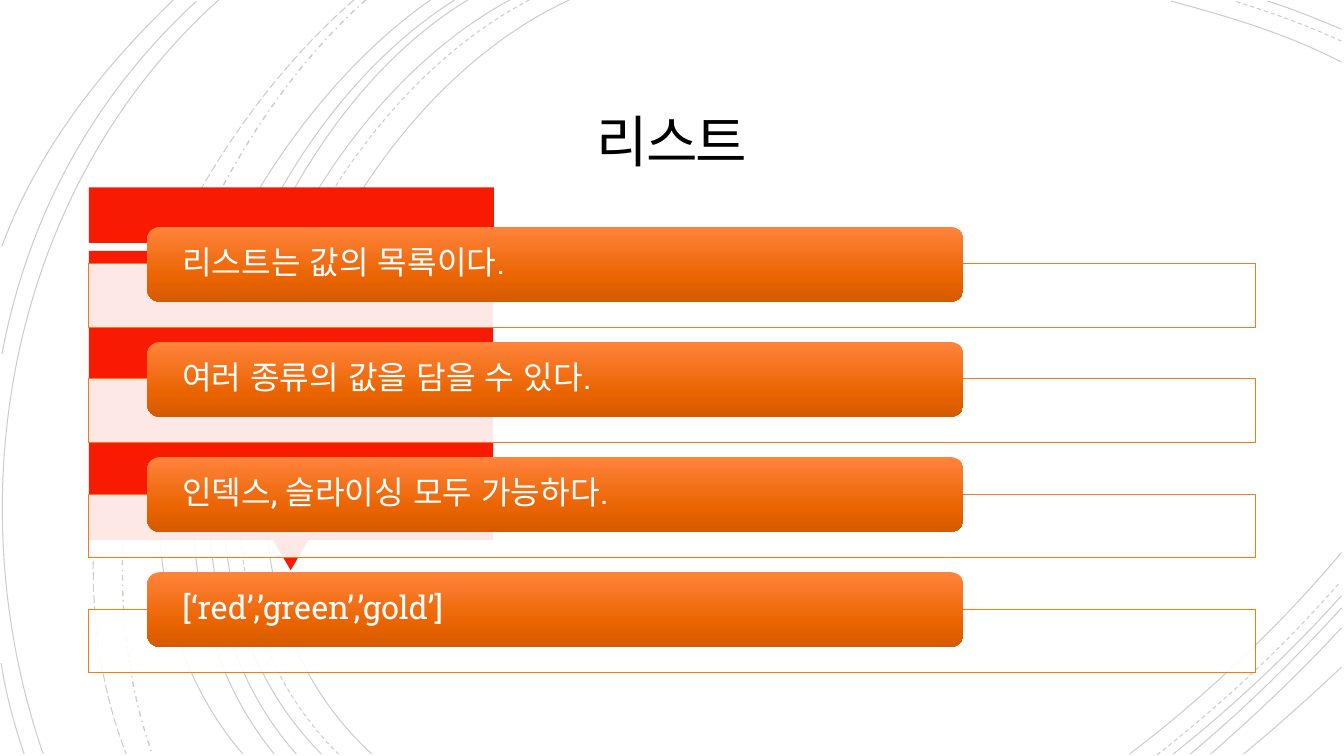
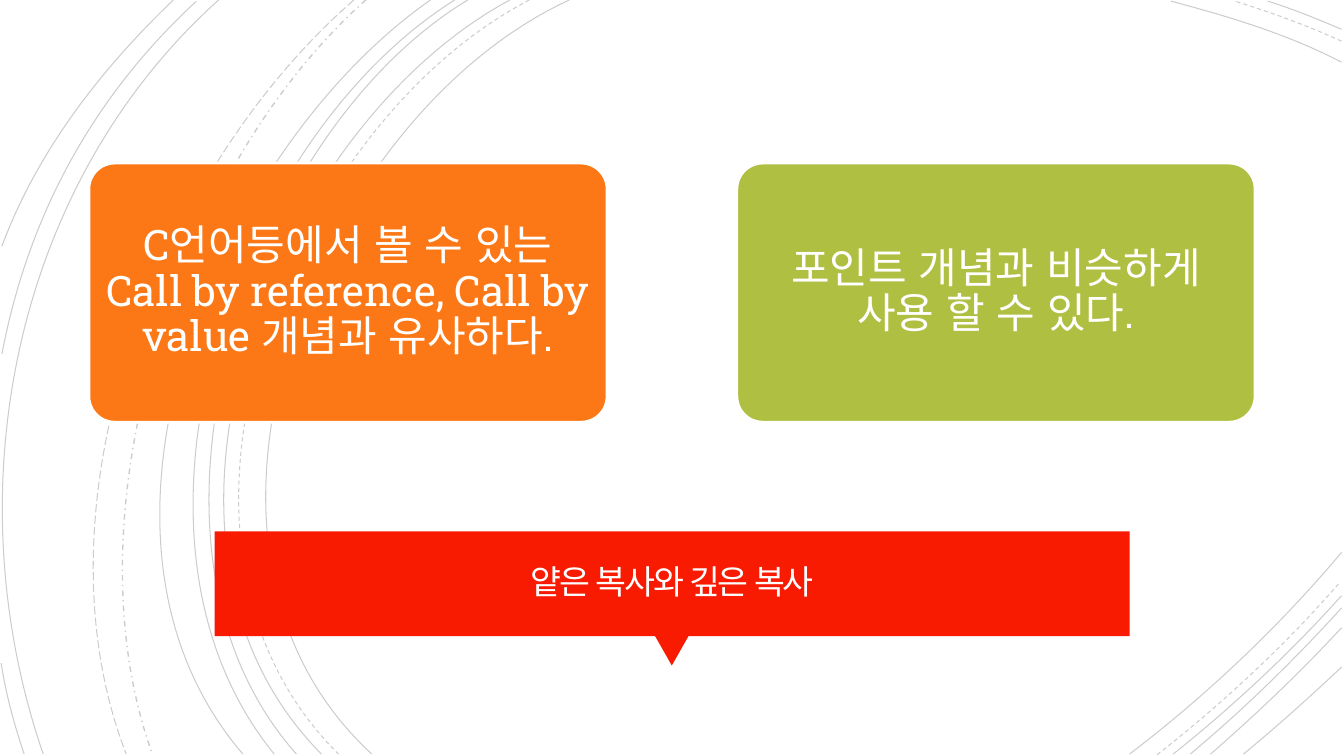
from copy import deepcopy

from lxml.etree import SubElement
from pptx import Presentation
from pptx.dml.color import RGBColor
from pptx.enum.dml import MSO_LINE_DASH_STYLE as DASH
from pptx.enum.lang import MSO_LANGUAGE_ID as LANGUAGE
from pptx.enum.shapes import MSO_AUTO_SHAPE_TYPE as SHAPE
from pptx.enum.text import MSO_ANCHOR, PP_ALIGN
from pptx.oxml.ns import qn
from pptx.util import Cm, Pt

BLACK = RGBColor(0x00, 0x00, 0x00)
WHITE = RGBColor(0xFF, 0xFF, 0xFF)
OFF_WHITE = RGBColor(0xFF, 0xFE, 0xFF)
RED = RGBColor(0xF8, 0x1B, 0x02)
ORANGE = RGBColor(0xFC, 0x77, 0x15)
GREEN = RGBColor(0xAF, 0xBF, 0x41)
BAR_STOPS = [
    (0, RGBColor(0xFF, 0x83, 0x3B)),
    (0.69, RGBColor(0xE9, 0x63, 0x00)),
    (1, RGBColor(0xD5, 0x5A, 0x00)),
]

TITLE_FONT = {"name": "Calibri", "language_id": LANGUAGE.KOREAN}
BODY_FONT = {"name": "Roboto Slab", "language_id": LANGUAGE.KOREAN}
TITLE_PARAGRAPH = {"alignment": PP_ALIGN.CENTER, "line_spacing": 0.85}
BAR_PARAGRAPH = {"alignment": PP_ALIGN.LEFT, "line_spacing": 0.9}
CARD_PARAGRAPH = {"alignment": PP_ALIGN.CENTER, "line_spacing": 0.9}

# Each arc is a cubic curve in cm: start, two control points, end.
SOLID_ARCS = [
    [(14.35, 0), (8, 2.92), (3.63, 13.72), (9.37, 19)],
    [(33.81, 1.57), (32.46, 0.86), (30.94, 0.41), (29.51, 0.03)],
    [(28.47, 19), (30.4, 17.53), (32.23, 15.8), (33.81, 13.92)],
    [(12.85, 0), (6.86, 3.23), (2.79, 13.64), (8.1, 19)],
    [(33.81, 0.74), (33.2, 0.48), (32.59, 0.23), (31.95, 0.03)],
    [(29.57, 19), (31.06, 17.81), (32.51, 16.46), (33.81, 15.01)],
    [(11.79, 0), (6.2, 3.38), (2.79, 13.74), (7.47, 19)],
    [(30, 19), (31.34, 17.88), (32.61, 16.64), (33.81, 15.32)],
    [(11.46, 0), (5.87, 3.51), (2.46, 13.54), (6.91, 19)],
    [(30.51, 19), (31.65, 18.01), (32.77, 16.94), (33.81, 15.82)],
    [(10.85, 0), (5.51, 3.73), (1.35, 13.44), (6.12, 19)],
    [(31.34, 19), (32.18, 18.31), (32.99, 17.58), (33.81, 16.81)],
    [(5.51, 0), (0.28, 4.7), (-1.17, 12.45), (1.09, 19)],
    [(4.95, 0.03), (2.34, 2.44), (0.71, 5.44), (0.05, 8.92)],
    [(0.03, 16.71), (0.15, 17.5), (0.36, 18.26), (0.61, 19)],
    [(4.37, 0), (2.54, 1.75), (0.94, 3.81), (0.05, 6.2)],
]
DASHED_ARCS = [
    [(13.34, 0), (7.24, 3.18), (3.12, 13.64), (8.53, 19)],
    [(33.81, 1.04), (32.94, 0.64), (32, 0.3), (31.12, 0.03)],
    [(29.16, 19.02), (30.81, 17.73), (32.39, 16.26), (33.78, 14.66)],
]
DASH_DOT_ARCS = [[(9.22, 0), (4.47, 4.22), (1.65, 12.93), (3.84, 19)]]
LONG_DASH_ARCS = [[(8.92, 0), (3.99, 4.29), (0.74, 12.67), (3.18, 19)]]
ARC_STYLES = [
    (SOLID_ARCS, {"width": Pt(0.75), "dash_style": DASH.SOLID}),
    (DASHED_ARCS, {"width": Pt(0.75), "dash_style": DASH.DASH}),
    (DASH_DOT_ARCS, {"width": Pt(1), "dash_style": DASH.DASH_DOT}),
    (LONG_DASH_ARCS, {"width": Pt(0.75), "dash_style": DASH.LONG_DASH}),
]

LEFT = 2.24
LIST_ITEMS = [
    "리스트는 값의 목록이다.",
    "여러 종류의 값을 담을 수 있다.",
    "인덱스, 슬라이싱 모두 가능하다.",
    "[‘red’,’green’,’gold’]",
]
ROW_PITCH = 2.9
CARDS = [
    ("C언어등에서 볼 수 있는 Call by reference, Call by value 개념과 유사하다.", ORANGE),
    ("포인트 개념과 비슷하게 사용 할 수 있다.", GREEN),
]
CARD_PITCH = 16.33


def apply(target, values):
    for name, value in values.items():
        setattr(target, name, value)


def set_opacity(shape, percent):
    """Make the first plain colour of the shape partly transparent."""
    color = shape.element.spPr.find(".//" + qn("a:srgbClr"))
    SubElement(color, qn("a:alpha")).set("val", str(percent * 1000))


def bend(freeform):
    """Turn the three straight segments of a freeform into one cubic curve."""
    outline = freeform.element.spPr.find(".//" + qn("a:path"))
    segments = outline.findall(qn("a:lnTo"))
    curve = SubElement(outline, qn("a:cubicBezTo"))
    for segment in segments:
        curve.append(segment[0])
        outline.remove(segment)


def add_arc(slide, curve, line_style):
    start, *others = [(Cm(x), Cm(y)) for x, y in curve]
    builder = slide.shapes.build_freeform(*start)
    builder.add_line_segments(others, close=False)
    arc = builder.convert_to_shape()
    bend(arc)
    arc.shadow.inherit = False
    arc.fill.background()
    arc.line.color.rgb = BLACK
    apply(arc.line, line_style)
    set_opacity(arc, 20)
    return arc


def add_background_arcs(slide, layout):
    """Draw the arcs, then hand them to the layout that all slides share."""
    for placeholder in list(layout.placeholders):
        layout.shapes.element.remove(placeholder.element)
    arcs = [add_arc(slide, curve, style) for curves, style in ARC_STYLES for curve in curves]
    for arc in arcs:
        layout.shapes.element.append(arc.element)


def add_block(slide, kind, box, fill=None, line=None, line_width=0.75):
    """Add a preset shape; box is left, top, width, height in cm."""
    shape = slide.shapes.add_shape(kind, *map(Cm, box))
    shape.shadow.inherit = False
    if fill is not None:
        shape.fill.solid()
        shape.fill.fore_color.rgb = fill
    if line is None:
        shape.line.fill.background()
    else:
        shape.line.color.rgb = line
        shape.line.width = Pt(line_width)
    return shape


def add_pointer(slide, box):
    add_block(slide, SHAPE.ISOSCELES_TRIANGLE, box, RED).rotation = 180


def write(shape, text, font, size, color, paragraph_format, margins):
    """Put one paragraph in a shape; margins are side and top/bottom in cm."""
    side, edge = map(Cm, margins)
    frame = shape.text_frame
    apply(frame, {
        "word_wrap": True,
        "vertical_anchor": MSO_ANCHOR.MIDDLE,
        "margin_left": side,
        "margin_right": side,
        "margin_top": edge,
        "margin_bottom": edge,
    })
    paragraph = frame.paragraphs[0]
    apply(paragraph, paragraph_format)
    run = paragraph.add_run()
    run.text = text
    apply(run.font, {**font, "size": Pt(size)})
    run.font.color.rgb = color


def write_title(shape, text, size, color):
    write(shape, text, TITLE_FONT, size, color, TITLE_PARAGRAPH, (0.64, 0.64))
    for properties in shape.element.iter(qn("a:rPr")):
        properties.set("spc", "-150")


def fill_with_gradient(shape, stops):
    shape.fill.gradient()
    shape.fill.gradient_angle = 270
    stop_list = shape.element.spPr.find(".//" + qn("a:gsLst"))
    while len(stop_list) < len(stops):
        stop_list.append(deepcopy(stop_list[-1]))
    for stop, (position, color) in zip(shape.fill.gradient_stops, stops):
        stop.position = position
        stop.color.rgb = color


def add_list_row(slide, index, text):
    offset = index * ROW_PITCH
    panel = add_block(slide, SHAPE.RECTANGLE, (LEFT, 6.65 + offset, 29.39, 1.6), WHITE, ORANGE)
    set_opacity(panel, 90)
    bar = add_block(slide, SHAPE.ROUNDED_RECTANGLE, (3.71, 5.72 + offset, 20.57, 1.88))
    fill_with_gradient(bar, BAR_STOPS)
    write(bar, text, BODY_FONT, 23, WHITE, BAR_PARAGRAPH, (0.79, 0))


def add_card(slide, index, text, color):
    box = (LEFT + index * CARD_PITCH, 4.11, 13.06, 6.53)
    card = add_block(slide, SHAPE.ROUNDED_RECTANGLE, box, color, WHITE, 2)
    card.adjustments[0] = 0.1
    write(card, text, BODY_FONT, 30, WHITE, CARD_PARAGRAPH, (0.15, 0.1))


def fill_list_slide(slide):
    add_block(slide, SHAPE.RECTANGLE, (LEFT, 4.72, 10.21, 1.4), RED)
    add_pointer(slide, (6.88, 13.61, 0.89, 0.76))
    add_block(slide, SHAPE.RECTANGLE, (LEFT, 6.32, 10.19, 7.29), RED)
    title = slide.shapes.add_textbox(*map(Cm, (4.88, 2.21, 24.1, 2.92)))
    write_title(title, "리스트", 40, BLACK)
    for index, text in enumerate(LIST_ITEMS):
        add_list_row(slide, index, text)


def fill_copy_slide(slide):
    add_pointer(slide, (16.51, 16.03, 0.84, 0.74))
    banner = add_block(slide, SHAPE.RECTANGLE, (5.41, 13.39, 23.06, 2.64), RED)
    write_title(banner, "얕은 복사와 깊은 복사", 24, OFF_WHITE)
    for index, (text, color) in enumerate(CARDS):
        add_card(slide, index, text, color)


def main():
    presentation = Presentation()
    presentation.slide_width = Cm(33.87)
    presentation.slide_height = Cm(19.05)
    blank = presentation.slide_layouts[6]
    list_slide, copy_slide = [presentation.slides.add_slide(blank) for _ in range(2)]
    add_background_arcs(list_slide, blank)
    fill_list_slide(list_slide)
    fill_copy_slide(copy_slide)
    presentation.save("out.pptx")


if __name__ == "__main__":
    main()
